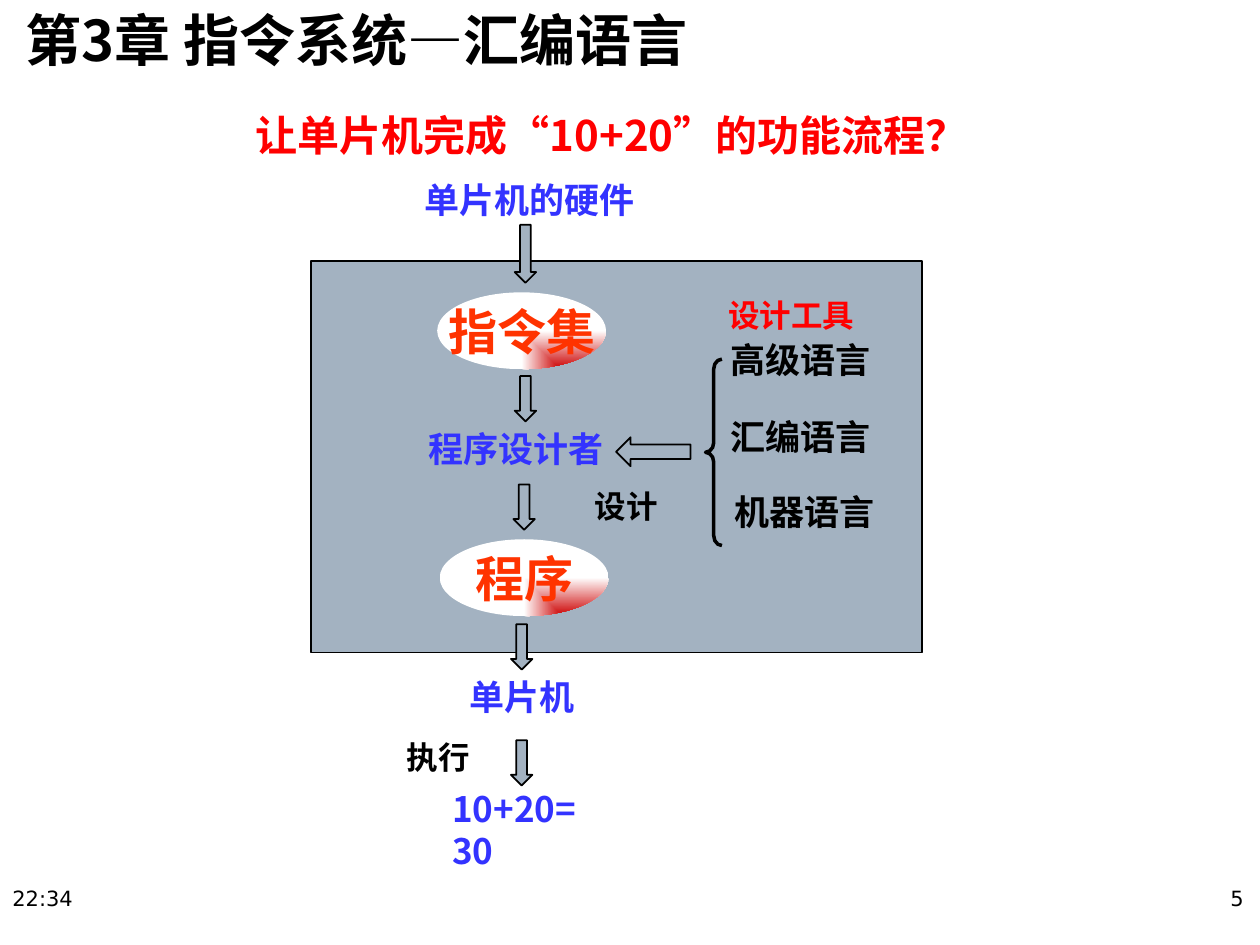
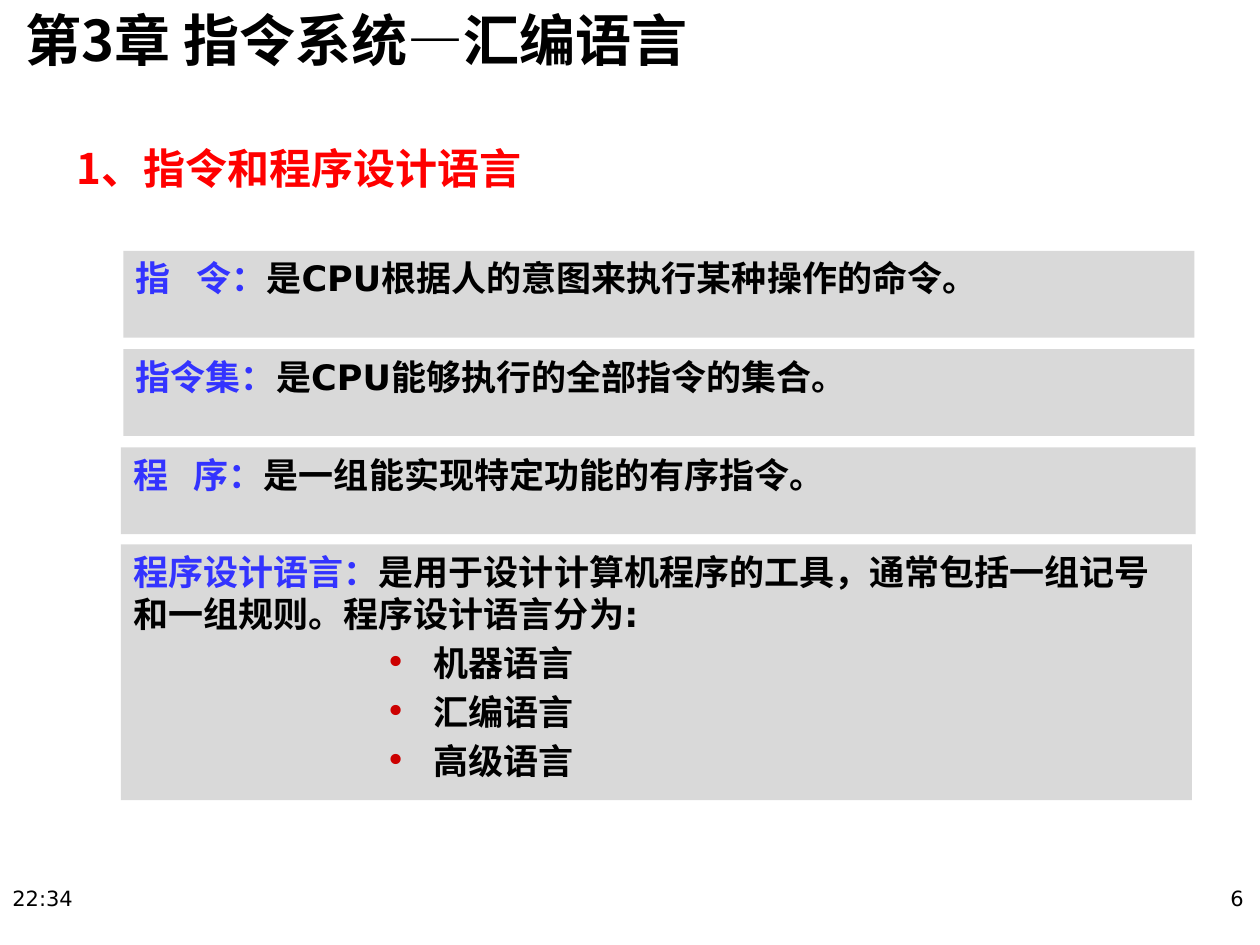
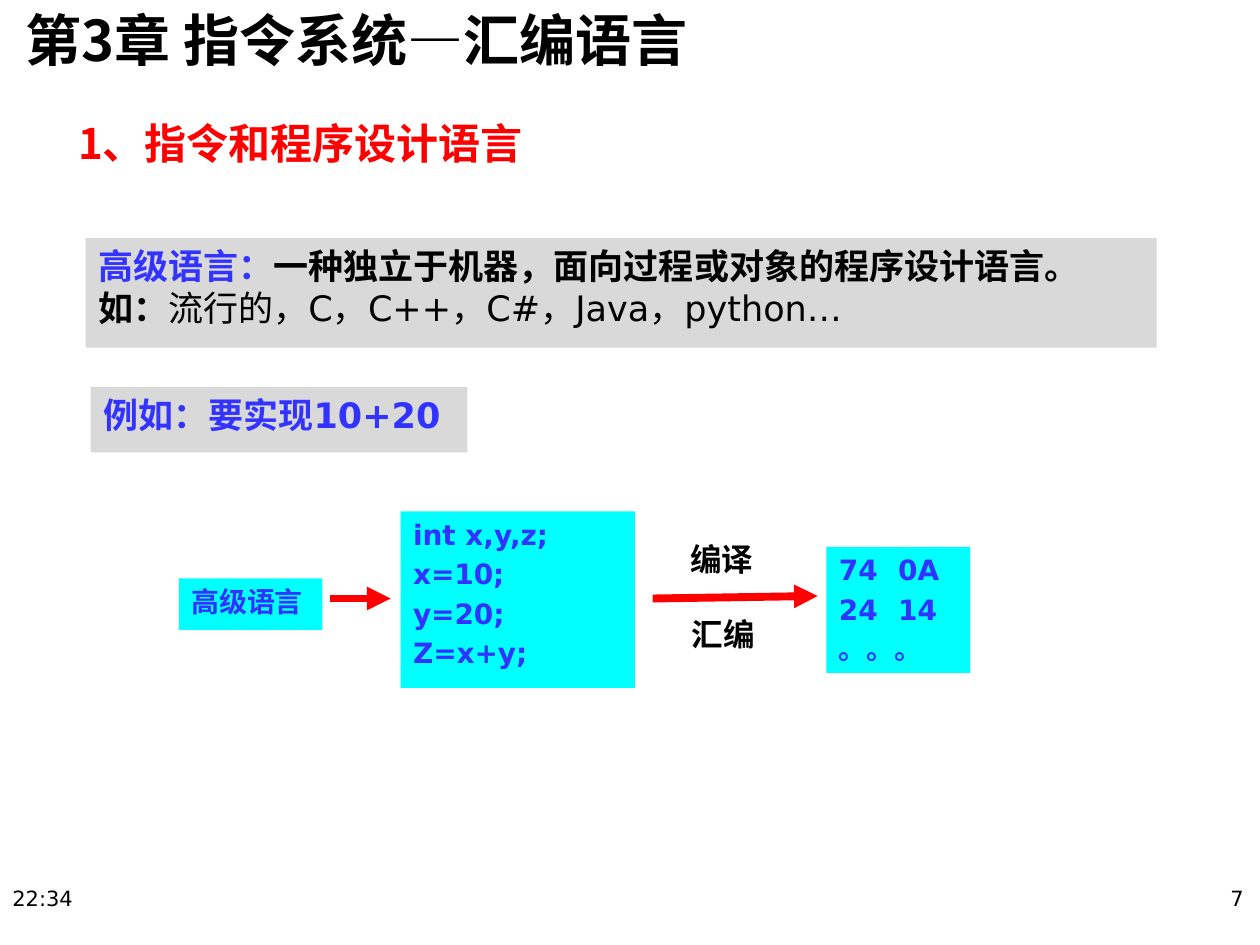
"""Build three slides on instruction sets and programming languages."""
from dataclasses import dataclass

import pptx
import pptx.dml.color
import pptx.enum.shapes
import pptx.enum.text
import pptx.oxml.ns
import pptx.util
from lxml import etree
from pptx.util import Inches

SHAPES = pptx.enum.shapes.MSO_SHAPE
ALIGN = pptx.enum.text.PP_ALIGN
ANCHOR = pptx.enum.text.MSO_ANCHOR
BREAK = "\n"


@dataclass(frozen=True)
class Theme:
    """Colours, fonts and type sizes shared by the slides."""

    black: str = "000000"
    white: str = "FFFFFF"
    red: str = "FF0000"
    blue: str = "3333FF"
    orange: str = "FF3300"
    crimson: str = "CC0000"
    panel: str = "A3B2C1"
    band: str = "D9D9D9"
    cyan: str = "00FFFF"
    heading_font: str = "Noto Sans CJK SC"
    body_font: str = "DejaVu Sans"
    oval_font: str = "Arial"
    chapter_size: int = 32
    oval_size: int = 28
    title_size: int = 24
    text_size: int = 20
    note_size: int = 18
    code_size: int = 16
    footer_size: int = 12


THEME = Theme()


def rgb(value):
    """Return a colour from its hexadecimal form."""
    return pptx.dml.color.RGBColor.from_string(value)


def add_child(parent, tag, **attributes):
    """Append a drawing element with attributes."""
    child = etree.SubElement(parent, pptx.oxml.ns.qn(tag))
    for name, value in attributes.items():
        child.set(name, str(value))
    return child


def write_text(shape, paragraphs, *, size=THEME.text_size, color=THEME.black,
               font=THEME.heading_font, bold=True, align=ALIGN.LEFT,
               anchor=ANCHOR.TOP, wrap=True, insets=(0.1, 0.05, 0.1, 0.05),
               before=0, bullets_from=None, tab=None):
    """Fill a shape with paragraphs of strings or (text, format) runs."""
    frame = shape.text_frame
    frame.word_wrap = wrap
    frame.auto_size = pptx.enum.text.MSO_AUTO_SIZE.NONE
    frame.vertical_anchor = anchor
    (frame.margin_left, frame.margin_top,
     frame.margin_right, frame.margin_bottom) = map(Inches, insets)
    if isinstance(paragraphs, str):
        paragraphs = [paragraphs]
    for index, runs in enumerate(paragraphs):
        paragraph = frame.add_paragraph() if index else frame.paragraphs[0]
        paragraph.alignment = align
        paragraph.line_spacing = 1.0
        paragraph.space_before = pptx.util.Pt(before)
        if bullets_from is not None and index >= bullets_from:
            add_bullet(paragraph)
        if tab:
            add_tab_stop(paragraph, tab)
        for run_item in [runs] if isinstance(runs, str) else runs:
            if run_item == BREAK:
                paragraph.add_line_break()
                continue
            words, changes = (run_item, {}) if isinstance(run_item, str) else run_item
            run = paragraph.add_run()
            run.text = words
            run.font.size = pptx.util.Pt(size)
            run.font.bold = changes.get("bold", bold)
            run.font.color.rgb = rgb(changes.get("color", color))
            run.font.name = font
            east_asian = THEME.heading_font if font == THEME.oval_font else font
            add_child(run.font._element, "a:ea", typeface=east_asian)
    return shape


def add_bullet(paragraph):
    """Give a paragraph a red bullet and a hanging indent."""
    properties = paragraph._p.get_or_add_pPr()
    properties.set("marL", str(Inches(2.38)))
    properties.set("indent", str(Inches(-0.38)))
    color = add_child(properties, "a:buClr")
    add_child(color, "a:srgbClr", val=THEME.crimson)
    add_child(properties, "a:buFont", typeface=THEME.body_font)
    add_child(properties, "a:buChar", char="•")


def add_tab_stop(paragraph, position):
    """Give a paragraph a left tab stop."""
    stops = add_child(paragraph._p.get_or_add_pPr(), "a:tabLst")
    add_child(stops, "a:tab", pos=Inches(position), algn="l")


def add_text(slide, place, text, **text_format):
    """Add a text box."""
    box = slide.shapes.add_textbox(*map(Inches, place))
    return write_text(box, text, **text_format)


def add_figure(slide, kind, place, fill=None, line=None, line_width=1, rotation=0):
    """Add a preset shape with a plain fill and line."""
    shape = slide.shapes.add_shape(kind, *map(Inches, place))
    shape.shadow.inherit = False
    shape.rotation = rotation
    if fill:
        shape.fill.solid()
        shape.fill.fore_color.rgb = rgb(fill)
    else:
        shape.fill.background()
    if line:
        shape.line.color.rgb = rgb(line)
        shape.line.width = pptx.util.Pt(line_width)
    else:
        shape.line.fill.background()
    return shape


def add_text_block(slide, place, text, fill=THEME.band, **text_format):
    """Add a filled rectangle holding body text."""
    block = add_figure(slide, SHAPES.RECTANGLE, place, fill)
    size = text_format.get("size", THEME.text_size)
    return write_text(block, text, font=THEME.body_font, before=size * 0.2, **text_format)


def add_block_arrow(slide, place, rotation=90):
    """Add an outlined block arrow."""
    add_figure(slide, SHAPES.RIGHT_ARROW, place, THEME.panel, THEME.black, rotation=rotation)


def add_glossy_oval(slide, place, text):
    """Add an ellipse shaded from its lower right corner."""
    oval = add_figure(slide, SHAPES.OVAL, place)
    oval.fill.gradient()
    for stop, color, position in zip(oval.fill.gradient_stops,
                                     (THEME.crimson, THEME.white), (0, 1)):
        stop.color.rgb = rgb(color)
        stop.position = position
    gradient = oval._element.spPr.find(pptx.oxml.ns.qn("a:gradFill"))
    gradient.remove(gradient.find(pptx.oxml.ns.qn("a:lin")))
    shade = add_child(gradient, "a:path", path="rect")
    add_child(shade, "a:fillToRect", l=100000, t=100000)
    write_text(oval, text, size=THEME.oval_size, color=THEME.orange,
               font=THEME.oval_font, align=ALIGN.CENTER, anchor=ANCHOR.MIDDLE,
               wrap=False, insets=(0, 0, 0, 0))


def add_red_arrow(slide, start, end):
    """Add a thick red arrow between two points."""
    arrow = slide.shapes.add_connector(pptx.enum.shapes.MSO_CONNECTOR.STRAIGHT,
                                       *map(Inches, start + end))
    arrow.line.color.rgb = rgb(THEME.red)
    arrow.line.width = pptx.util.Pt(4.5)
    add_child(arrow.line._get_or_add_ln(), "a:tailEnd", type="triangle")
    add_child(arrow._element.spPr, "a:effectLst")


def add_slide(presentation, number, title, title_place):
    """Add a slide with its title, chapter heading, time and number."""
    slide = presentation.slides.add_slide(presentation.slide_layouts[5])
    heading = slide.shapes.title
    heading.left, heading.top, heading.width, heading.height = map(Inches, title_place)
    write_text(heading, title, size=THEME.title_size, color=THEME.red, anchor=ANCHOR.BOTTOM)
    add_text(slide, (0, 0.04, 8.39, 0.78), "第3章 指令系统—汇编语言",
             size=THEME.chapter_size, insets=(0.2, 0, 0, 0))
    footer = {"size": THEME.footer_size, "font": THEME.body_font, "bold": False}
    add_text(slide, (0, 6.98, 2.17, 0.52), "22:34", **footer)
    add_text(slide, (7.8, 6.98, 2.17, 0.52), str(number), align=ALIGN.RIGHT, **footer)
    return slide


def build_flow_slide(presentation):
    """Show the way from hardware to a computed sum."""
    slide = add_slide(presentation, 5, "让单片机完成“10+20”的功能流程？",
                      (1.93, 0.86, 5.57, 0.46))
    add_figure(slide, SHAPES.RECTANGLE, (2.47, 2.07, 4.85, 3.11), THEME.panel, THEME.black)
    for left, top, width, text, wrap in (
        (3.27, 1.37, 1.95, "单片机的硬件", True),
        (3.3, 3.34, 1.73, "程序设计者", True),
        (3.63, 5.31, 1.05, "单片机", False),
        (3.49, 6.2, 1.34, "10+20=30", True),
    ):
        add_text(slide, (left, top, width, 0.44), text, color=THEME.blue, wrap=wrap)
    for left, top, language in ((5.7, 2.64, "高级语言"), (5.7, 3.25, "汇编语言"),
                                (5.73, 3.84, "机器语言")):
        add_text(slide, (left, top, 1.4, 0.44), language)
    for left, top, width, note, color in (
        (5.68, 2.3, 1.26, "设计工具", THEME.red),
        (4.62, 3.82, 0.71, "设计", THEME.black),
        (3.13, 5.81, 0.71, "执行", THEME.black),
    ):
        add_text(slide, (left, top, width, 0.4), note, size=THEME.note_size,
                 color=color, wrap=False)
    add_block_arrow(slide, (3.94, 1.93, 0.46, 0.17))
    for left, top in ((3.99, 3.08), (3.98, 3.94), (3.96, 5.05), (3.96, 5.97)):
        add_block_arrow(slide, (left, top, 0.36, 0.17))
    add_block_arrow(slide, (4.89, 3.47, 0.59, 0.23), rotation=180)
    add_glossy_oval(slide, (3.47, 2.32, 1.34, 0.61), "指令集")
    add_glossy_oval(slide, (3.49, 4.28, 1.34, 0.61), "程序")
    brace = add_figure(slide, SHAPES.LEFT_BRACE, (5.6, 2.85, 0.13, 1.48),
                       line=THEME.black, line_width=2)
    brace.adjustments[0] = 0.6


def build_terms_slide(presentation):
    """Define the basic terms."""
    slide = add_slide(presentation, 6, "1、指令和程序设计语言", (0.51, 1.15, 3.94, 0.43))
    top, pitch = 1.99, 0.78
    definitions = (
        (0.98, 8.5, "指\t令：", "是CPU根据人的意图来执行某种操作的命令。"),
        (0.98, 8.5, "指令集：", "是CPU能够执行的全部指令的集合。"),
        (0.96, 8.53, "程\t序：", "是一组能实现特定功能的有序指令。"),
    )
    for index, (left, width, term, meaning) in enumerate(definitions):
        add_text_block(slide, (left, top + index * pitch, width, 0.69),
                       [[(term, {"color": THEME.blue}), meaning]], tab=0.48)
    language_meaning = "是用于设计计算机程序的工具，通常包括一组记号和一组规则。程序设计语言分为:"
    add_text_block(slide, (0.96, 4.32, 8.5, 2.03),
                   [[("程序设计语言：", {"color": THEME.blue}), language_meaning],
                    "机器语言", "汇编语言", "高级语言"], bullets_from=1)


def build_example_slide(presentation):
    """Show a high-level program turned into machine code."""
    slide = add_slide(presentation, 7, "1、指令和程序设计语言", (0.52, 0.91, 4.02, 0.47))
    add_text_block(slide, (0.68, 1.89, 8.5, 0.87), [[
        ("高级语言：", {"color": THEME.blue}),
        "一种独立于机器，面向过程或对象的程序设计语言。", BREAK, "如：",
        ("流行的，C，C++，C#，Java，python…", {"bold": False}),
    ]])
    add_text_block(slide, (0.72, 3.07, 2.99, 0.52), "例如：要实现10+20", color=THEME.blue)
    for place, lines in (
        ((1.42, 4.59, 1.14, 0.41), ["高级语言"]),
        ((3.18, 4.06, 1.86, 1.4), ["int x,y,z;", "x=10;", "y=20;", "Z=x+y;"]),
        ((6.56, 4.34, 1.14, 1), ["74\t0A", "24\t14", "。。。"]),
    ):
        add_text_block(slide, place, lines, THEME.cyan, size=THEME.code_size,
                       color=THEME.blue, tab=0.47)
    add_red_arrow(slide, (2.62, 4.75), (3.1, 4.75))
    add_red_arrow(slide, (5.18, 4.75), (6.49, 4.73))
    for left, top, step in ((5.38, 4.24, "编译"), (5.39, 4.83, "汇编")):
        add_text(slide, (left, top, 0.71, 0.4), step, size=THEME.note_size, wrap=False)


def main():
    """Build and save the presentation."""
    presentation = pptx.Presentation()
    presentation.slide_width, presentation.slide_height = Inches(10), Inches(7.5)
    build_flow_slide(presentation)
    build_terms_slide(presentation)
    build_example_slide(presentation)
    presentation.save("out.pptx")


if __name__ == "__main__":
    main()
